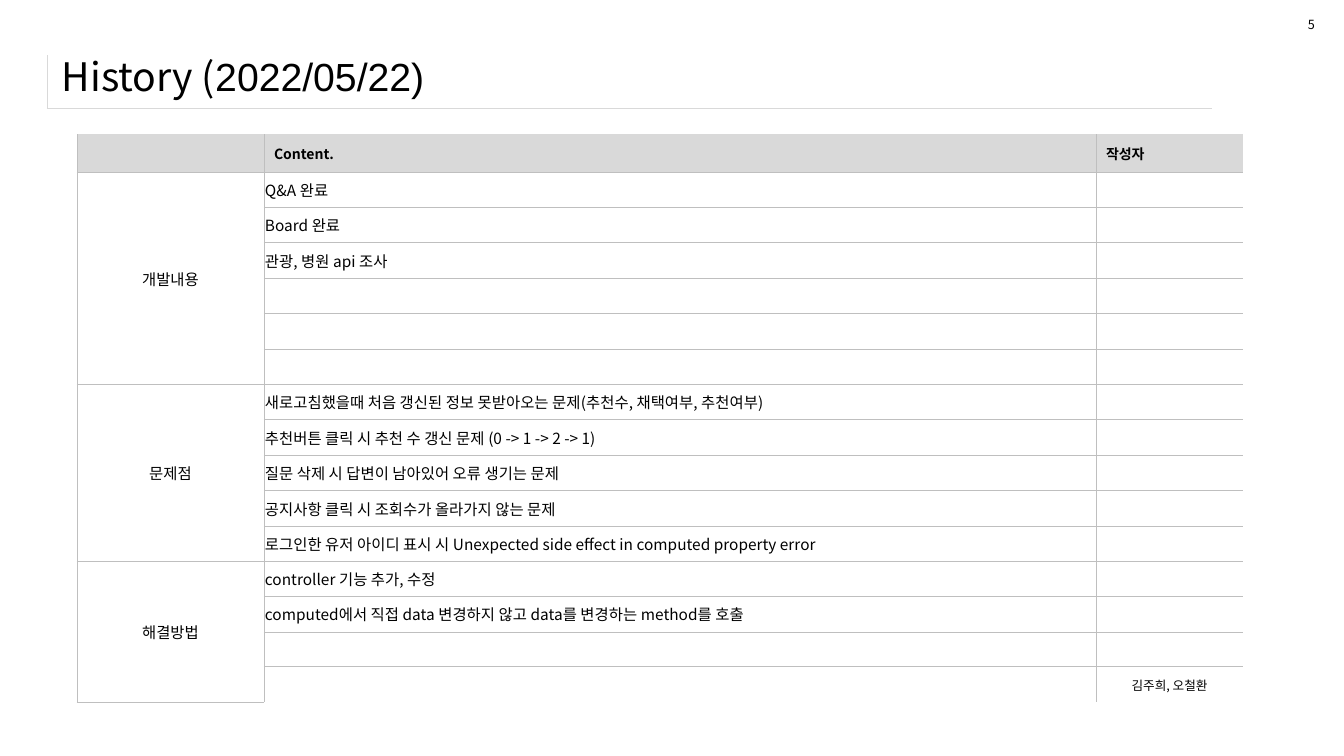
from dataclasses import dataclass

from lxml.etree import SubElement
from pptx import Presentation
from pptx.dml.color import RGBColor
from pptx.enum.text import MSO_ANCHOR as Anchor, MSO_AUTO_SIZE as AutoSize, PP_ALIGN as Align
from pptx.oxml.ns import qn
from pptx.util import Pt


@dataclass(frozen=True)
class Theme:
    black: str = "000000"
    white: str = "FFFFFF"
    header_fill: str = "D9D9D9"
    grid: str = "BFBFBF"
    title_rule: str = "D9D9D9"
    font: str = "Noto Sans CJK KR"
    date_font: str = "Arial"
    title_size: int = 28
    body_size: int = 11
    header_size: int = 10
    small_size: int = 9
    hairline: float = 0.25


theme = Theme()
EMU_PER_PX = 914400 / 100.8


def px(*lengths):
    """Turn pixel lengths into a list of EMU."""
    return [round(length * EMU_PER_PX) for length in lengths]


def style_run(run, size, bold=False, font=theme.font):
    run.font.size = Pt(size)
    run.font.bold = bold
    run.font.color.rgb = RGBColor.from_string(theme.black)
    run.font.name = font
    SubElement(run.font._element, qn("a:ea"), typeface=font)


presentation = Presentation()
presentation.slide_width, presentation.slide_height = px(1344, 756)
slide = presentation.slides.add_slide(presentation.slide_layouts[6])

# Tables: the title rule is a single cell, the history a grid
title_rule = slide.shapes.add_table(1, 1, *px(47, 55, 1165, 53)).table

sections = [
    ("개발내용", 6, ["Q&A 완료", "Board 완료", "관광, 병원 api 조사"]),
    ("문제점", 5, [
        "새로고침했을때 처음 갱신된 정보 못받아오는 문제(추천수, 채택여부, 추천여부)",
        "추천버튼 클릭 시 추천 수 갱신 문제 (0 -> 1 -> 2 -> 1)",
        "질문 삭제 시 답변이 남아있어 오류 생기는 문제",
        "공지사항 클릭 시 조회수가 올라가지 않는 문제",
        "로그인한 유저 아이디 표시 시 Unexpected side effect in computed property error",
    ]),
    ("해결방법", 4, [
        "controller 기능 추가, 수정",
        "computed에서 직접 data 변경하지 않고 data를 변경하는 method를 호출",
    ]),
]
authors = "김주희, 오철환"
COLUMNS = (187, 832, 147)
HEADER_HEIGHT, BODY_HEIGHT = 38, 531
body_rows = sum(span for _, span, _ in sections)
last_row = body_rows

history = slide.shapes.add_table(
    body_rows + 1, len(COLUMNS),
    *px(77, 134, sum(COLUMNS), HEADER_HEIGHT + BODY_HEIGHT)).table
for column, width in zip(history.columns, px(*COLUMNS)):
    column.width = width
row_edges = px(0, *(HEADER_HEIGHT + BODY_HEIGHT * i // body_rows for i in range(body_rows + 1)))
for row, top, bottom in zip(history.rows, row_edges, row_edges[1:]):
    row.height = bottom - top

# Wording
history.cell(0, 1).text_frame.text = "Content."
history.cell(0, 2).text_frame.text = "작성자"
history.cell(last_row, 2).text_frame.text = authors
first_row = 1
for label, span, entries in sections:
    history.cell(first_row, 0).merge(history.cell(first_row + span - 1, 0))
    history.cell(first_row, 0).text_frame.text = label
    for offset, entry in enumerate(entries):
        history.cell(first_row + offset, 1).text_frame.text = entry
    first_row += span

# Borders per cell: side -> (colour, width)
rule = (theme.title_rule, theme.hairline)
bordered_cells = [(title_rule.cell(0, 0), {"L": rule, "B": rule}, None)]
for r in range(body_rows + 1):
    for c in range(len(COLUMNS)):
        borders = dict.fromkeys("LRTB", (theme.grid, theme.hairline))
        if r == 0:
            del borders["T"]
        if c == 2:
            del borders["R"]
        if r == last_row and c > 0:
            borders["B"] = (theme.white, 1)
        bordered_cells.append((history.cell(r, c), borders, theme.header_fill if r == 0 else None))

for table in (title_rule, history):
    table.first_row = table.horz_banding = False
for cell, borders, fill in bordered_cells:
    cell_props = cell._tc.get_or_add_tcPr()
    for side in "LRTB":
        colour, width = borders.get(side, (None, 0))
        line = SubElement(cell_props, qn(f"a:ln{side}"), w=str(Pt(width)))
        if colour:
            SubElement(SubElement(line, qn("a:solidFill")), qn("a:srgbClr"), val=colour)
        else:
            SubElement(line, qn("a:noFill"))
    if fill:
        cell.fill.solid()
        cell.fill.fore_color.rgb = RGBColor.from_string(fill)
    else:
        cell.fill.background()

# Text format of the history
for r in range(body_rows + 1):
    for c in range(len(COLUMNS)):
        cell = history.cell(r, c)
        cell.vertical_anchor = Anchor.MIDDLE
        is_authors = (r, c) == (last_row, 2)
        size = theme.header_size if r == 0 else theme.small_size if is_authors else theme.body_size
        if r > 0 and not is_authors:
            cell.margin_left = cell.margin_right = cell.margin_top = px(1)[0]
            cell.margin_bottom = 0
        paragraph = cell.text_frame.paragraphs[0]
        if r > 0 and c != 1:
            paragraph.alignment = Align.CENTER
        for run in paragraph.runs:
            style_run(run, size, bold=r == 0)
        if not paragraph.runs:
            SubElement(paragraph._p, qn("a:endParaRPr"), sz=str(size * 100))

# Title and page number
title = slide.shapes.add_textbox(*px(52, 44, 1259, 64)).text_frame
title.word_wrap = True
title.vertical_anchor = Anchor.MIDDLE
for wording, font in (("History (", theme.font), ("2022/05/22)", theme.date_font)):
    run = title.paragraphs[0].add_run()
    run.text = wording
    style_run(run, theme.title_size, font=font)

page_number = slide.shapes.add_textbox(*px(1298, 12, 27, 25)).text_frame
page_number.word_wrap = False
page_number.auto_size = AutoSize.SHAPE_TO_FIT_TEXT
page_number.text = "5"
style_run(page_number.paragraphs[0].runs[0], theme.small_size)

presentation.save("out.pptx")
